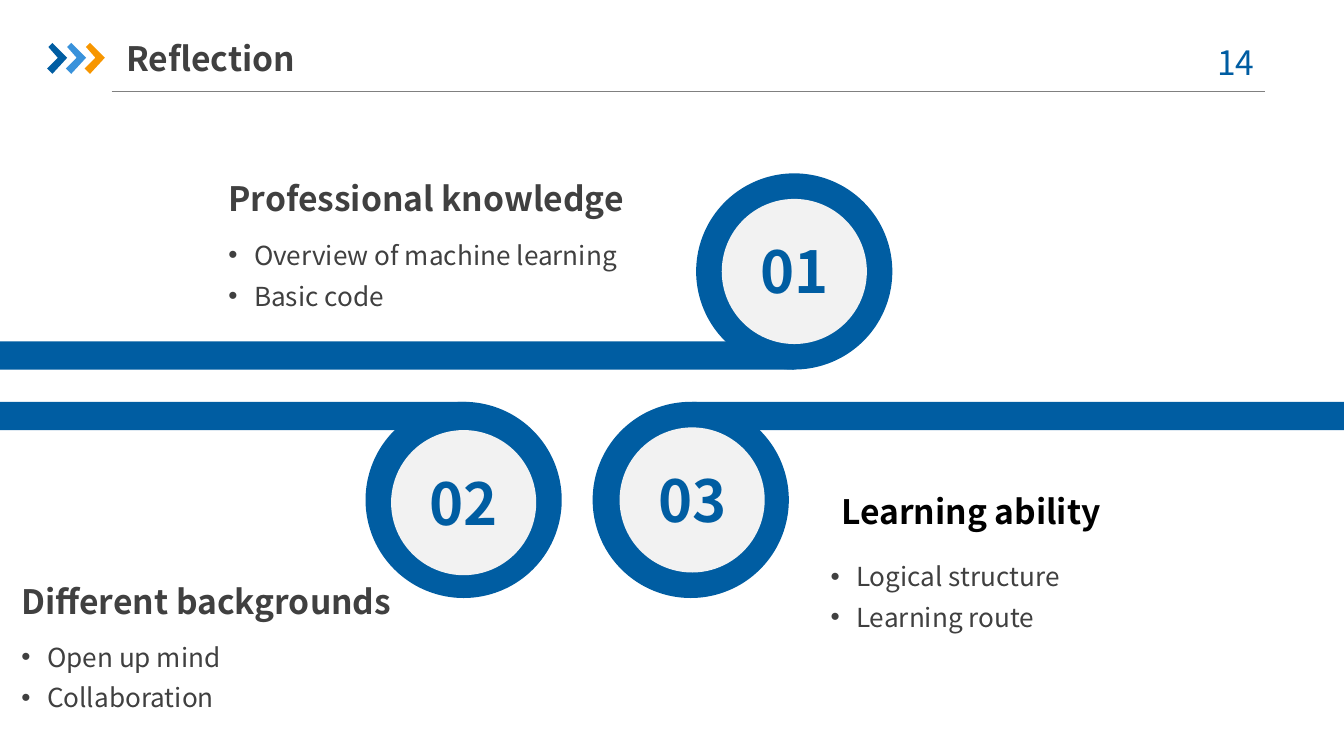
from pptx import Presentation
from pptx.dml.color import RGBColor
from pptx.enum.shapes import MSO_CONNECTOR, MSO_SHAPE
from pptx.enum.text import MSO_ANCHOR, MSO_AUTO_SIZE, PP_ALIGN
from pptx.oxml.ns import qn
from pptx.util import Inches, Pt
from lxml import etree

TOP, MIDDLE = MSO_ANCHOR.TOP, MSO_ANCHOR.MIDDLE
LEFT, CENTER = PP_ALIGN.LEFT, PP_ALIGN.CENTER
OVAL, RECT = MSO_SHAPE.OVAL, MSO_SHAPE.RECTANGLE
STRAIGHT, FIXED = MSO_CONNECTOR.STRAIGHT, MSO_AUTO_SIZE.NONE
FONT = "Noto Sans CJK SC"
HEX = {"blue": "005DA2", "sky": "3992DB", "orange": "F79600",
       "dark": "404040", "black": "000000", "pale": "F2F2F2", "gray": "808080"}

# Content: number, ring corner, disc corner, bar box
RING, DISC, BAR = 1.46, 1.08, 0.21
RINGS = [
    ("02", (2.72, 2.99), (2.91, 3.2), (0, 2.99, 3.47, BAR)),
    ("01", (5.18, 1.29), (5.37, 1.48), (0, 2.54, 5.91, BAR)),
    ("03", (4.41, 2.99), (4.61, 3.18), (5.15, 2.99, 4.85, BAR)),
]
# Content: heading, colour, heading box, list items, list box
TOPICS = [
    ("Professional knowledge", "dark", (1.62, 1.28, 3.19, 0.38),
     ["Overview of machine learning", "Basic code"], (1.62, 1.67, 3.55, 0.66)),
    ("Different backgrounds", "dark", (0.08, 4.28, 3.02, 0.38),
     ["Open up mind", "Collaboration"], (0.08, 4.66, 2.89, 0.66)),
    ("Learning ability", "black", (6.18, 3.61, 2.13, 0.38),
     ["Logical structure", "Learning route"], (6.1, 4.06, 2.85, 0.66)),
]
ARROWS = ["blue", "sky", "orange"]
CHEVRON = [(0.01, 0.03), (0.04, 0), (0.15, 0.11), (0.04, 0.23), (0, 0.19), (0.08, 0.11)]


def rgb(name):
    return RGBColor.from_string(HEX[name])


def paint(shape, color):
    shape.shadow.inherit = False
    shape.fill.solid()
    shape.fill.fore_color.rgb = rgb(color)
    shape.line.fill.background()
    return shape


def place(shape, box):
    for side, size in zip(("left", "top", "width", "height"), box):
        setattr(shape, side, Inches(size))


def write(shape, lines, size, color, bold=False, align=LEFT, anchor=TOP,
          pad=(0.08, 0.04, 0.08, 0.04), wrap=True, bullet=False):
    frame = shape.text_frame
    frame.text = "\n".join(lines)
    form = {"auto_size": FIXED, "word_wrap": wrap, "vertical_anchor": anchor}
    for side, gap in zip(("left", "top", "right", "bottom"), pad):
        form["margin_" + side] = Inches(gap)
    for key, value in form.items():
        setattr(frame, key, value)
    for para in frame.paragraphs:
        para.alignment = align
        para.space_before = Pt(0)
        para.line_spacing = 1.3 if bullet else 1.0
        for key, value in {"name": FONT, "size": Pt(size), "bold": bold}.items():
            setattr(para.runs[0].font, key, value)
        para.runs[0].font.color.rgb = rgb(color)
        if bullet:
            props = para._p.get_or_add_pPr()
            props.set("marL", str(Inches(0.19)))
            props.set("indent", str(-Inches(0.19)))
            etree.SubElement(props, qn("a:buFont")).set("typeface", "Arial")
            etree.SubElement(props, qn("a:buChar")).set("char", "•")


# Widescreen page, 16 to 9
deck = Presentation()
deck.slide_width = Inches(10)
deck.slide_height = deck.slide_width * 9 // 16
slide = deck.slides.add_slide(deck.slide_layouts[4])
shapes = slide.shapes

# Header: rule, chevrons, page number, title
rule = shapes.add_connector(STRAIGHT, *map(Inches, (0.83, 0.68, 9.41, 0.68)))
rule.line.color.rgb = rgb("gray")
rule.line.width = Pt(0.75)
etree.SubElement(rule._element.spPr, qn("a:effectLst"))

for i, color in enumerate(ARROWS):
    points = [(Inches(0.35 + 0.14 * i + x), Inches(0.32 + y)) for x, y in CHEVRON]
    arrow = shapes.build_freeform(*points[0])
    arrow.add_line_segments(points[1:], close=True)
    paint(arrow.convert_to_shape(), color)

page = shapes.add_textbox(*map(Inches, (8.83, 0.26, 0.73, 0.4)))
write(page, ["14"], 18, "blue", align=CENTER, pad=(0.1, 0.05, 0.1, 0.05))

place(shapes.title, (0.94, 0.22, 2.33, 0.42))
write(shapes.title, ["Reflection"], 18, "dark", bold=True, anchor=MIDDLE,
      pad=(0, 0.05, 0, 0.05))

# Bars ending in numbered rings
for number, ring, disc, bar in RINGS:
    parts = [(RECT, bar, "blue"), (OVAL, (*ring, RING, RING), "blue"),
             (OVAL, (*disc, DISC, DISC), "pale")]
    for kind, box, color in parts:
        part = paint(shapes.add_shape(kind, *map(Inches, box)), color)
    write(part, [number], 31, "blue", bold=True, align=CENTER, anchor=MIDDLE,
          pad=(0.1, 0.04, 0.1, 0.05))

# Topic headings and lists
bodies = list(slide.placeholders)[1:]
for body, (head, color, spot, items, box) in zip(bodies, TOPICS):
    place(body, box)
    write(body, items, 14, "dark", bullet=True)
    label = shapes.add_textbox(*map(Inches, spot))
    write(label, [head], 18, color, bold=True, wrap=False)

# Drop the unused placeholder
for body in bodies[len(TOPICS):]:
    body._element.getparent().remove(body._element)

deck.save("out.pptx")
